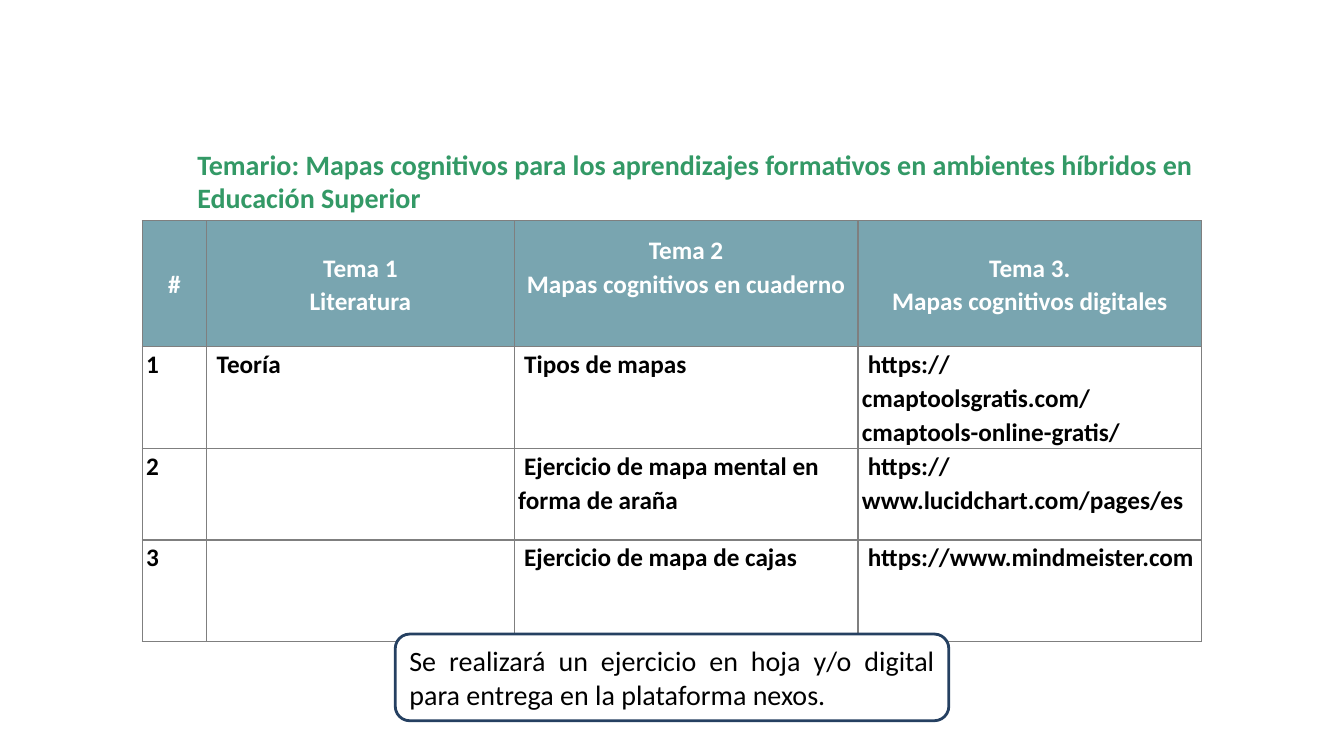
from dataclasses import dataclass

import pptx
import pptx.dml.color
import pptx.enum.lang
import pptx.enum.shapes
import pptx.enum.text
import pptx.oxml
import pptx.oxml.ns
import pptx.util

SLIDE_WIDTH = pptx.util.Inches(13.33)
SLIDE_HEIGHT = pptx.util.Inches(7.5)
FONT = "Calibri"
ALIGN = pptx.enum.text.PP_ALIGN
ANCHOR = pptx.enum.text.MSO_ANCHOR


@dataclass(frozen=True)
class Area:
    """A rectangle in percent of the slide's width and height."""
    left: float
    top: float
    width: float
    height: float

    def lengths(self) -> tuple[int, int, int, int]:
        return across(self.left), down(self.top), across(self.width), down(self.height)


@dataclass(frozen=True)
class TextStyle:
    size: int
    color: str
    bold: bool = False
    align: ALIGN = ALIGN.LEFT
    spacing: float = 1.0
    indent: float = 0


TITLE = TextStyle(20, "339966", bold=True)
NOTE = TextStyle(20, "000000", align=ALIGN.JUSTIFY)
HEADER = TextStyle(18, "FFFFFF", bold=True, align=ALIGN.CENTER, spacing=1.1)
NUMBER = TextStyle(18, "000000", bold=True, spacing=1.1)
BODY = TextStyle(18, "000000", bold=True, spacing=1.1, indent=0.06)

COLUMN_SHARES = [4.8, 22.88, 25.58, 25.58]
ROW_SHARES = [16.67, 10.8, 12.13, 13.47]
TOPICS = [
    ["#", "Tema 1\vLiteratura", "Tema 2\nMapas cognitivos en cuaderno",
     "Tema 3.\vMapas cognitivos digitales"],
    ["1", "Teoría", "Tipos de mapas",
     "https://cmaptoolsgratis.com/cmaptools-online-gratis/"],
    ["2", "", "Ejercicio de mapa mental en forma de araña",
     "https://www.lucidchart.com/pages/es"],
    ["3", "", "Ejercicio de mapa de cajas", "https://www.mindmeister.com"],
]


def across(share: float) -> int:
    return round(SLIDE_WIDTH * share / 100)


def down(share: float) -> int:
    return round(SLIDE_HEIGHT * share / 100)


def color(value: str) -> pptx.dml.color.RGBColor:
    return pptx.dml.color.RGBColor.from_string(value)


def write(frame, text: str, style: TextStyle) -> None:
    frame.text = text
    frame.word_wrap = True
    for para in frame.paragraphs:
        para.alignment = style.align
        para.line_spacing = style.spacing
        if style.indent:
            indent = pptx.util.Inches(style.indent)
            para._p.get_or_add_pPr().set("indent", str(int(indent)))
        for span in para.runs:
            span.font.name = FONT
            span.font.size = pptx.util.Pt(style.size)
            span.font.bold = style.bold
            span.font.color.rgb = color(style.color)
            span.font.language_id = pptx.enum.lang.MSO_LANGUAGE_ID.SPANISH


def add_borders(cell, line_color: str) -> None:
    properties = cell._tc.get_or_add_tcPr()
    for position, side in enumerate(("lnL", "lnR", "lnT", "lnB")):
        border = pptx.oxml.parse_xml(
            f'<a:{side} {pptx.oxml.ns.nsdecls("a")} w="12700"><a:solidFill>'
            f'<a:srgbClr val="{line_color}"/></a:solidFill></a:{side}>')
        properties.insert(position, border)


def style_for(row_number: int, column_number: int) -> TextStyle:
    if row_number == 0:
        return HEADER
    return NUMBER if column_number == 0 else BODY


def add_topics(page, area: Area) -> None:
    frame = page.shapes.add_table(len(ROW_SHARES), len(COLUMN_SHARES), *area.lengths())
    table = frame.table
    for column, share in zip(table.columns, COLUMN_SHARES):
        column.width = across(share)
    for row, share in zip(table.rows, ROW_SHARES):
        row.height = down(share)
    for row_number, texts in enumerate(TOPICS):
        is_header = row_number == 0
        for column_number, text in enumerate(texts):
            cell = table.cell(row_number, column_number)
            cell.margin_left = cell.margin_right = pptx.util.Inches(0.04)
            cell.margin_top = cell.margin_bottom = 0
            cell.vertical_anchor = ANCHOR.MIDDLE if is_header else ANCHOR.TOP
            write(cell.text_frame, text, style_for(row_number, column_number))
            if is_header:
                cell.fill.solid()
                cell.fill.fore_color.rgb = color("79A5B0")
            else:
                cell.fill.background()
            add_borders(cell, "7F7F7F")
    # The second topic sits one text line above the middle
    table.cell(0, 2).margin_bottom = pptx.util.Inches(0.34)
    # The two long addresses wrap after a slash
    for row_number in (1, 2):
        table.cell(row_number, 3).margin_right = pptx.util.Inches(0.18)


def add_note(page, area: Area, text: str) -> None:
    box = page.shapes.add_shape(
        pptx.enum.shapes.MSO_SHAPE.ROUNDED_RECTANGLE, *area.lengths())
    box.shadow.inherit = False
    box.fill.solid()
    box.fill.fore_color.rgb = color("FFFFFF")
    box.line.color.rgb = color("254061")
    box.line.width = pptx.util.Pt(2)
    box.text_frame.vertical_anchor = ANCHOR.MIDDLE
    write(box.text_frame, text, NOTE)


def add_title(page, area: Area, text: str) -> None:
    box = page.shapes.add_textbox(*area.lengths())
    write(box.text_frame, text, TITLE)


def main() -> None:
    deck = pptx.Presentation()
    deck.slide_width = SLIDE_WIDTH
    deck.slide_height = SLIDE_HEIGHT
    page = deck.slides.add_slide(deck.slide_layouts[6])

    # Table of topics
    add_topics(page, Area(10.58, 29.2, sum(COLUMN_SHARES), sum(ROW_SHARES)))

    # Assignment note below the table
    add_note(page, Area(29.41, 83.87, 41.19, 11.47),
             "Se realizará un ejercicio en hoja y/o digital "
             "para entrega en la plataforma nexos.")

    # Title above the table
    add_title(page, Area(13.95, 18.8, 78.84, 10.27),
              "Temario: Mapas cognitivos para los aprendizajes formativos "
              "en ambientes híbridos en Educación Superior")

    deck.save("out.pptx")


if __name__ == "__main__":
    main()
